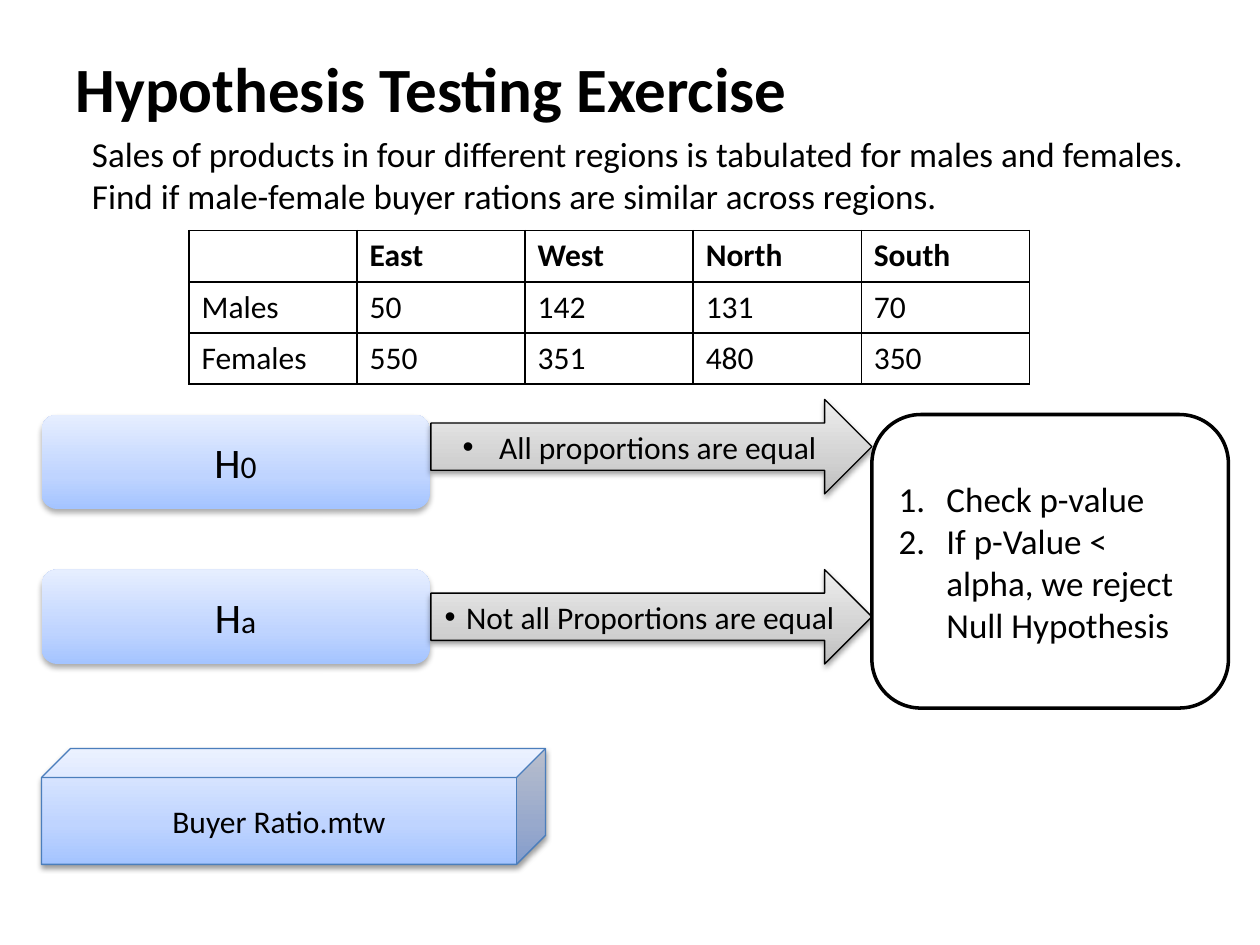
from lxml import etree
from pptx import Presentation
from pptx.dml.color import RGBColor
from pptx.enum.shapes import MSO_SHAPE
from pptx.enum.text import MSO_ANCHOR, MSO_AUTO_SIZE, PP_ALIGN
from pptx.oxml import parse_xml
from pptx.oxml.ns import nsdecls, qn
from pptx.util import Inches, Pt

ROUND_RECT = MSO_SHAPE.ROUNDED_RECTANGLE
ARROW = MSO_SHAPE.RIGHT_ARROW
CUBE = MSO_SHAPE.CUBE
MIDDLE, TOP = MSO_ANCHOR.MIDDLE, MSO_ANCHOR.TOP
LEFT, CENTER = PP_ALIGN.LEFT, PP_ALIGN.CENTER
NO_FIT = MSO_AUTO_SIZE.NONE

FONT = "Calibri"
BLACK = RGBColor(0x00, 0x00, 0x00)
WHITE = RGBColor(0xFF, 0xFF, 0xFF)
CUBE_EDGE = RGBColor(0x4B, 0x7E, 0xBC)
BLUES = [RGBColor(0xA4, 0xC4, 0xFF), RGBColor(0xBF, 0xD4, 0xFF), RGBColor(0xE6, 0xEE, 0xFF)]
GRAYS = [RGBColor(0xBD, 0xBD, 0xBD), RGBColor(0xD1, 0xD1, 0xD1), RGBColor(0xEE, 0xEE, 0xEE)]
SOFT_SHADOW = (3.5, 2.2, 32)
EDGE_SHADOW = (3.1, 1.6, 38)

BUYERS = [
    ["", "East", "West", "North", "South"],
    ["Males", "50", "142", "131", "70"],
    ["Females", "550", "351", "480", "350"],
]


def add_run(p, text, size=18, bold=False):
    r = p.add_run()
    r.text = text
    r.font.name = FONT
    r.font.size = Pt(size)
    r.font.bold = bold
    r.font.color.rgb = BLACK


def set_indent(p, left, first, bullet):
    pPr = p._p.get_or_add_pPr()
    pPr.set("marL", str(Inches(left)))
    pPr.set("indent", str(Inches(first)))
    if bullet == "number":
        etree.SubElement(pPr, qn("a:buAutoNum")).set("type", "arabicPeriod")
    elif bullet:
        etree.SubElement(pPr, qn("a:buFont")).set("typeface", "Arial")
        etree.SubElement(pPr, qn("a:buChar")).set("char", bullet)
    else:
        etree.SubElement(pPr, qn("a:buNone"))


def set_gradient(sp, colors):
    stops = "".join(
        f'<a:gs pos="{pos}000"><a:srgbClr val="{color}"/></a:gs>'
        for pos, color in zip((0, 35, 100), colors))
    fill = parse_xml(f'<a:gradFill {nsdecls("a")} rotWithShape="1"><a:gsLst>{stops}</a:gsLst>'
                     '<a:lin ang="16200000" scaled="0"/></a:gradFill>')
    sp._element.spPr.find(qn("a:prstGeom")).addnext(fill)


def set_shadow(sp, blur, distance, alpha):
    effects = sp._element.spPr.find(qn("a:effectLst"))
    effects.append(parse_xml(
        f'<a:outerShdw {nsdecls("a")} blurRad="{Pt(blur)}" dist="{Pt(distance)}" dir="5400000" '
        f'rotWithShape="0"><a:srgbClr val="000000"><a:alpha val="{alpha}000"/></a:srgbClr>'
        '</a:outerShdw>'))


def add_box(s, kind, box, fill=WHITE, line=None, width=0.75, shadow=None):
    sp = s.shapes.add_shape(kind, *map(Inches, box))
    sp.shadow.inherit = False
    if isinstance(fill, list):
        set_gradient(sp, fill)
    else:
        sp.fill.solid()
        sp.fill.fore_color.rgb = fill
    if line is None:
        sp.line.fill.background()
    else:
        sp.line.color.rgb = line
        sp.line.width = Pt(width)
    if shadow:
        set_shadow(sp, *shadow)
    tf = sp.text_frame
    tf.word_wrap = True
    tf.vertical_anchor = MIDDLE
    tf.paragraphs[0].alignment = CENTER
    return tf


def fill_placeholder(ph, box, text, size, bold, anchor):
    ph.left, ph.top, ph.width, ph.height = map(Inches, box)
    tf = ph.text_frame
    tf.auto_size = NO_FIT
    tf.word_wrap = True
    tf.vertical_anchor = anchor
    p = tf.paragraphs[0]
    p.alignment = LEFT
    add_run(p, text, size, bold)
    return p


def set_borders(cell):
    tcPr = cell._tc.get_or_add_tcPr()
    for i, side in enumerate(("lnL", "lnR", "lnT", "lnB")):
        tcPr.insert(i, parse_xml(
            f'<a:{side} {nsdecls("a")} w="{Pt(1)}"><a:solidFill><a:srgbClr val="{BLACK}"/>'
            f'</a:solidFill></a:{side}>'))


def add_buyer_table(s):
    frame = s.shapes.add_table(3, 5, Inches(1.5), Inches(1.83), Inches(6.67), Inches(1.22))
    for i, row in enumerate(BUYERS):
        for j, text in enumerate(row):
            cell = frame.table.cell(i, j)
            cell.fill.background()
            set_borders(cell)
            add_run(cell.text_frame.paragraphs[0], text, bold=i == 0)


def add_hypothesis(s, top, arrow_top, symbol, claim, hang):
    tf = add_box(s, ROUND_RECT, (0.33, top, 3.08, 0.75), BLUES, shadow=SOFT_SHADOW)
    p = tf.paragraphs[0]
    add_run(p, "H", 24)
    add_run(p, symbol)
    tf = add_box(s, ARROW, (3.42, arrow_top, 3.5, 0.75), GRAYS, BLACK, shadow=EDGE_SHADOW)
    p = tf.paragraphs[0]
    set_indent(p, hang, -hang, "•")
    add_run(p, claim)


def add_decision(s, steps):
    tf = add_box(s, ROUND_RECT, (6.92, 3.29, 2.83, 2.33), line=BLACK, width=2)
    for i, step in enumerate(steps):
        p = tf.add_paragraph() if i else tf.paragraphs[0]
        p.alignment = LEFT
        set_indent(p, 0.38, -0.38, "number")
        add_run(p, step, 20)


def main():
    prs = Presentation()
    prs.slide_width, prs.slide_height = Inches(10), Inches(7.5)
    s = prs.slides.add_slide(prs.slide_layouts[1])
    fill_placeholder(s.shapes.title, (0.5, 0.3, 9, 0.78),
                     "Hypothesis Testing Exercise", 36, True, MIDDLE)
    p = fill_placeholder(
        s.placeholders[1], (0.25, 1, 9.58, 6.25),
        "Sales of products in four different regions is tabulated for males and females. "
        "Find if male-female buyer rations are similar across regions.", 20, False, TOP)
    set_indent(p, 0.38, 0, None)
    add_buyer_table(s)
    add_hypothesis(s, 3.29, 3.17, "0", "All proportions are equal", 0.29)
    add_hypothesis(s, 4.52, 4.52, "a", "Not all Proportions are equal", 0.17)
    add_decision(s, ["Check p-value", "If p-Value < alpha, we reject Null Hypothesis"])
    tf = add_box(s, CUBE, (0.33, 5.94, 4, 0.92), BLUES, CUBE_EDGE, shadow=EDGE_SHADOW)
    add_run(tf.paragraphs[0], "Buyer Ratio.mtw")
    prs.save("out.pptx")


main()
